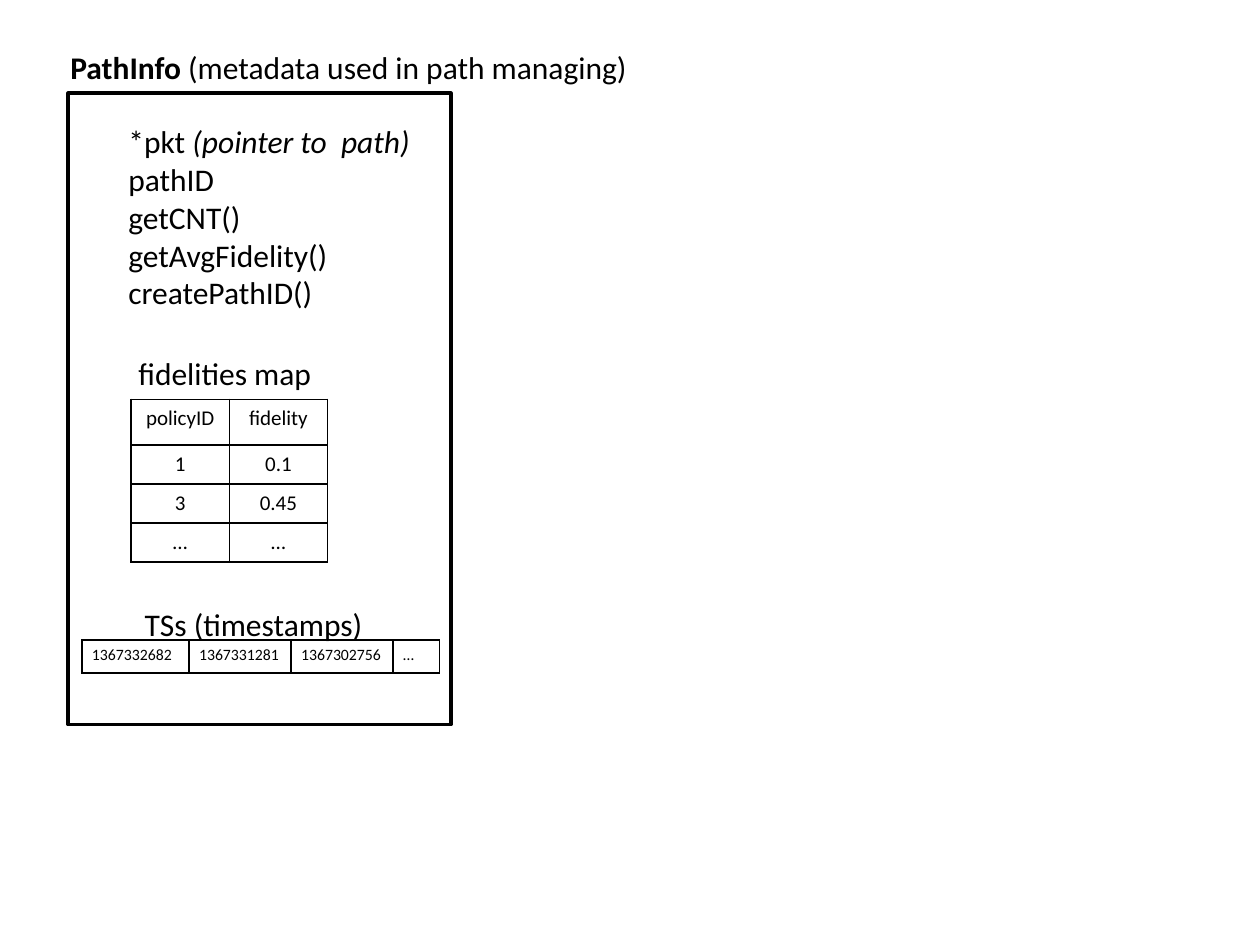
from dataclasses import dataclass

from lxml.etree import SubElement
from pptx import Presentation
from pptx.dml.color import RGBColor
from pptx.enum.shapes import MSO_SHAPE
from pptx.enum.text import MSO_AUTO_SIZE, PP_ALIGN
from pptx.oxml.ns import qn
from pptx.slide import Slide
from pptx.table import _Cell
from pptx.text.text import _Paragraph
from pptx.util import Inches, Pt

FONT = "Calibri"
BLACK = "000000"
WHITE = "FFFFFF"


@dataclass(frozen=True)
class Span:
    """A stretch of text in one style."""

    text: str
    bold: bool = False
    italic: bool = False


@dataclass(frozen=True)
class Label:
    """A text box whose lines are tuples of spans."""

    left: float
    top: float
    width: float
    height: float
    lines: tuple[tuple[Span, ...], ...]
    wrap: bool = True


@dataclass(frozen=True)
class Grid:
    """A bordered table with its column widths and row heights."""

    left: float
    top: float
    columns: tuple[float, ...]
    rows: tuple[float, ...]
    values: tuple[tuple[str, ...], ...]
    size: float
    align: PP_ALIGN
    inset_x: float
    inset_y: float


LABELS = (
    Label(0.46, 0.33, 5.38, 0.4,
          ((Span("PathInfo", bold=True), Span(" (metadata used in path managing)")),)),
    Label(0.92, 0.92, 2.58, 1.62, (
        (Span("*pkt "), Span("(pointer to  path)", italic=True)),
        (Span("pathID"),),
        (Span("getCNT()"),),
        (Span("getAvgFidelity()"),),
        (Span("createPathID()"),),
    )),
    Label(1, 2.76, 1.59, 0.4, ((Span("fidelities map"),),), wrap=False),
    Label(1.05, 4.75, 1.95, 0.4, ((Span("TSs (timestamps)"),),), wrap=False),
)

FIDELITIES = Grid(
    1.04, 3.17, (0.78, 0.78), (0.36, 0.31, 0.31, 0.31),
    (("policyID", "fidelity"), ("1", "0.1"), ("3", "0.45"), ("…", "…")),
    12, PP_ALIGN.CENTER, 0.1, 0.05,
)
TIMESTAMPS = Grid(
    0.65, 5.08, (0.85, 0.81, 0.81, 0.37), (0.26,),
    (("1367332682", "1367331281", "1367302756", "…"),),
    9, PP_ALIGN.LEFT, 0.08, 0.04,
)


def color(value: str) -> RGBColor:
    """Turn a hex string into a colour."""
    return RGBColor.from_string(value)


def add_span(paragraph: _Paragraph, span: Span, size: float) -> None:
    """Append one styled run to a paragraph."""
    run = paragraph.add_run()
    run.text = span.text
    run.font.name = FONT
    run.font.size = Pt(size)
    run.font.bold = span.bold
    run.font.italic = span.italic
    run.font.color.rgb = color(BLACK)


def draw_frame(slide: Slide) -> None:
    """Draw the outline around the PathInfo members."""
    frame = slide.shapes.add_shape(
        MSO_SHAPE.RECTANGLE, Inches(0.54), Inches(0.74), Inches(3.04), Inches(5.01))
    frame.shadow.inherit = False
    frame.fill.solid()
    frame.fill.fore_color.rgb = color(WHITE)
    frame.line.color.rgb = color(BLACK)
    frame.line.width = Pt(2)


def draw_label(slide: Slide, label: Label) -> None:
    """Draw a text box line by line."""
    box = slide.shapes.add_textbox(
        Inches(label.left), Inches(label.top), Inches(label.width), Inches(label.height))
    body = box.text_frame
    body.word_wrap = label.wrap
    body.auto_size = MSO_AUTO_SIZE.SHAPE_TO_FIT_TEXT
    for index, line in enumerate(label.lines):
        paragraph = body.add_paragraph() if index else body.paragraphs[0]
        for span in line:
            add_span(paragraph, span, 18)


def add_borders(cell: _Cell) -> None:
    """Give a cell a thin black line on every side."""
    properties = cell._tc.get_or_add_tcPr()
    for position, side in enumerate(("a:lnL", "a:lnR", "a:lnT", "a:lnB")):
        border = properties.makeelement(qn(side), {"w": str(Pt(1))})
        fill = SubElement(border, qn("a:solidFill"))
        SubElement(fill, qn("a:srgbClr"), val=BLACK)
        properties.insert(position, border)


def draw_grid(slide: Slide, grid: Grid) -> None:
    """Draw a plain table with black borders."""
    table = slide.shapes.add_table(
        len(grid.rows), len(grid.columns), Inches(grid.left), Inches(grid.top),
        Inches(sum(grid.columns)), Inches(sum(grid.rows))).table
    table.first_row = table.horz_banding = False
    for column, width in zip(table.columns, grid.columns):
        column.width = Inches(width)
    for row, height, values in zip(table.rows, grid.rows, grid.values):
        row.height = Inches(height)
        for cell, value in zip(row.cells, values):
            cell.margin_left = cell.margin_right = Inches(grid.inset_x)
            cell.margin_top = cell.margin_bottom = Inches(grid.inset_y)
            cell.fill.background()
            add_borders(cell)
            paragraph = cell.text_frame.paragraphs[0]
            paragraph.alignment = grid.align
            add_span(paragraph, Span(value), grid.size)


def main() -> None:
    """Build the PathInfo slide and save it."""
    presentation = Presentation()
    presentation.slide_width = Inches(10)
    presentation.slide_height = Inches(7.5)
    slide = presentation.slides.add_slide(presentation.slide_layouts[6])
    draw_frame(slide)
    for label in LABELS:
        draw_label(slide, label)
    for grid in (FIDELITIES, TIMESTAMPS):
        draw_grid(slide, grid)
    presentation.save("out.pptx")


if __name__ == "__main__":
    main()
